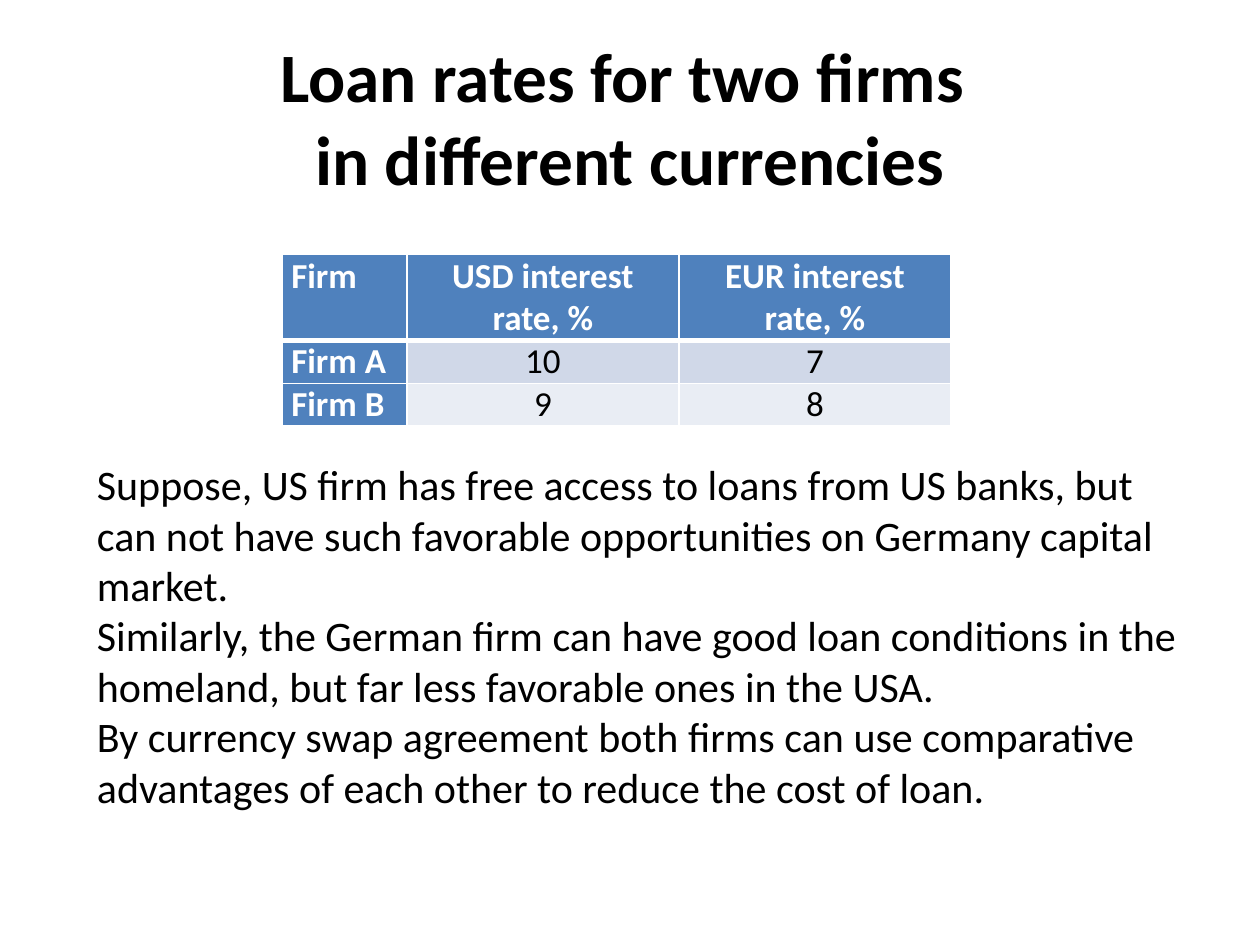
from dataclasses import dataclass

import pptx
import pptx.dml.color
import pptx.enum.text
import pptx.oxml
import pptx.oxml.ns
import pptx.util

Pt = pptx.util.Pt
ALIGN = pptx.enum.text.PP_ALIGN
ANCHOR = pptx.enum.text.MSO_ANCHOR

COLORS = {
    "text": "000000",
    "white": "FFFFFF",
    "header": "4F81BD",
    "band_dark": "D0D8E8",
    "band_light": "E9EDF4",
}


@dataclass
class RateRow:
    texts: tuple[str, str, str]
    height: float
    fill: str
    is_header: bool = False


TITLE = "Loan rates for two firms \vin different currencies"
RATES = [
    RateRow(("Firm", "USD interest rate, %", "EUR interest rate, %"), 48.8, "header", True),
    RateRow(("Firm A", "10", "7"), 24.4, "band_dark"),
    RateRow(("Firm B", "9", "8"), 24.4, "band_light"),
]
COLUMN_WIDTHS = (71, 155.5, 155.5)
NOTES = [
    "Suppose, US firm has free access to loans from US banks, but can not have such "
    "favorable opportunities on Germany capital market.",
    "Similarly, the German firm can have good loan conditions in the homeland, but far "
    "less favorable ones in the USA.",
    "By currency swap agreement both firms can use comparative advantages of each other "
    "to reduce the cost of loan.",
]


def rgb(name: str) -> pptx.dml.color.RGBColor:
    return pptx.dml.color.RGBColor.from_string(COLORS[name])


def set_all(target, values: dict) -> None:
    for name, value in values.items():
        setattr(target, name, value)


def place(box, left: float, top: float, width: float, height: float) -> None:
    set_all(box, {"left": Pt(left), "top": Pt(top), "width": Pt(width), "height": Pt(height)})


def format_font(para, size: float, color: str, bold: bool) -> None:
    set_all(para.font, {"name": "Calibri", "size": Pt(size), "bold": bold})
    para.font.color.rgb = rgb(color)


def add_border(cell, side: str, width: float) -> None:
    line = pptx.oxml.parse_xml(
        f'<a:{side} {pptx.oxml.ns.nsdecls("a")} w="{Pt(width)}"><a:solidFill>'
        f'<a:srgbClr val="{COLORS["white"]}"/></a:solidFill></a:{side}>'
    )
    cell._tc.get_or_add_tcPr().append(line)


def format_cell(cell, text: str, row: RateRow, is_label: bool) -> None:
    strong = row.is_header or is_label
    cell.text = text
    set_all(cell, {"margin_left": Pt(5), "margin_right": Pt(5),
                   "margin_top": 0, "margin_bottom": 0})
    para = cell.text_frame.paragraphs[0]
    para.alignment = ALIGN.LEFT if is_label else ALIGN.CENTER
    format_font(para, 20, "white" if strong else "text", strong)
    # Border lines come before the fill in the cell properties
    for side in ("lnL", "lnR", "lnT", "lnB"):
        add_border(cell, side, 3 if row.is_header and side == "lnB" else 1)
    cell.fill.solid()
    cell.fill.fore_color.rgb = rgb("header" if strong else row.fill)


def add_title(page) -> None:
    box = page.shapes.title
    place(box, 36, 21.6, 648, 90)
    box.text_frame.text = TITLE
    box.text_frame.vertical_anchor = ANCHOR.MIDDLE
    para = box.text_frame.paragraphs[0]
    para.alignment = ALIGN.CENTER
    format_font(para, 39.6, "text", True)


def add_rates(page) -> None:
    height = sum(row.height for row in RATES)
    table = page.shapes.add_table(
        len(RATES), len(COLUMN_WIDTHS), Pt(161.5), Pt(145.5),
        Pt(sum(COLUMN_WIDTHS)), Pt(height)).table
    table.first_col = True
    for column, width in zip(table.columns, COLUMN_WIDTHS):
        column.width = Pt(width)
    for line, row in zip(table.rows, RATES):
        line.height = Pt(row.height)
        for index, (cell, text) in enumerate(zip(line.cells, row.texts)):
            format_cell(cell, text, row, index == 0)


def add_notes(page) -> None:
    box = page.placeholders[1]
    place(box, 48.2, 258.5, 635, 211)
    frame = box.text_frame
    frame.text = "\n".join(NOTES)
    set_all(frame, {"word_wrap": True, "vertical_anchor": ANCHOR.TOP,
                    "auto_size": pptx.enum.text.MSO_AUTO_SIZE.NONE})
    for para in frame.paragraphs:
        properties = para._p.get_or_add_pPr()
        properties.set("marL", "0")
        properties.set("indent", "0")
        properties.append(pptx.oxml.parse_xml(f'<a:buNone {pptx.oxml.ns.nsdecls("a")}/>'))
        set_all(para, {"space_before": Pt(0), "alignment": ALIGN.LEFT})
        format_font(para, 24, "text", False)


def main() -> None:
    deck = pptx.Presentation()
    set_all(deck, {"slide_width": Pt(720), "slide_height": Pt(540)})
    page = deck.slides.add_slide(deck.slide_layouts[1])
    add_title(page)
    add_rates(page)
    add_notes(page)
    deck.save("out.pptx")


if __name__ == "__main__":
    main()
